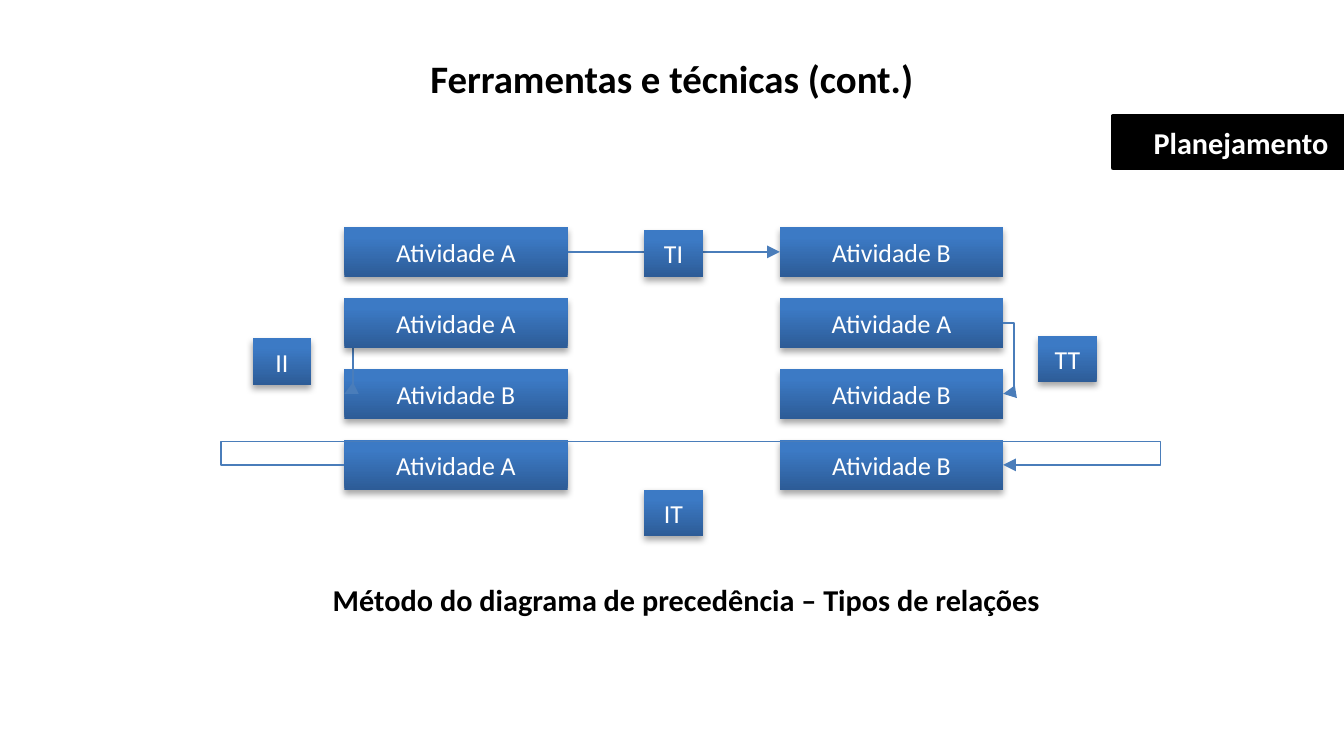
import pptx
import pptx.dml.color
import pptx.enum.shapes
import pptx.enum.text
import pptx.oxml
import pptx.oxml.ns
import pptx.util
from pptx.util import Cm

BLACK, WHITE = "000000", "FFFFFF"
LINE_BLUE, DARK_BLUE, LIGHT_BLUE = "4A7DBA", "2D5C97", "3C7AC5"
CENTER = pptx.enum.text.PP_ALIGN.CENTER
RIGHT = pptx.enum.text.PP_ALIGN.RIGHT
NAMESPACE = pptx.oxml.ns.nsdecls("a")


def color(hex_string):
    return pptx.dml.color.RGBColor.from_string(hex_string)


class PrecedenceSlide:
    font = "Calibri"

    def __init__(self, presentation):
        self.slide = presentation.slides.add_slide(presentation.slide_layouts[5])

    def set_text(self, shape, text, size, text_color, bold=False, align=CENTER,
                 anchor=pptx.enum.text.MSO_ANCHOR.MIDDLE):
        frame = shape.text_frame
        frame.word_wrap = True
        frame.auto_size = pptx.enum.text.MSO_AUTO_SIZE.NONE
        frame.vertical_anchor = anchor
        frame.text = text
        paragraph = frame.paragraphs[0]
        paragraph.alignment = align
        paragraph.font.name = self.font
        paragraph.font.size = pptx.util.Pt(size)
        paragraph.font.bold = bold
        paragraph.font.color.rgb = color(text_color)
        return paragraph

    def title(self, text, left, top, width, height):
        shape = self.slide.shapes.title
        shape.left, shape.top = Cm(left), Cm(top)
        shape.width, shape.height = Cm(width), Cm(height)
        self.set_text(shape, text, 18, BLACK, True,
                      anchor=pptx.enum.text.MSO_ANCHOR.TOP)

    def caption(self, text, left, top, width, height):
        shape = self.slide.shapes.add_textbox(
            Cm(left), Cm(top), Cm(width), Cm(height))
        paragraph = self.set_text(shape, text, 14, BLACK, True,
                                  anchor=pptx.enum.text.MSO_ANCHOR.TOP)
        paragraph._p.get_or_add_pPr().set("marL", str(Cm(0.38)))

    def rectangle(self, left, top, width, height):
        shape = self.slide.shapes.add_shape(
            pptx.enum.shapes.MSO_SHAPE.RECTANGLE,
            Cm(left), Cm(top), Cm(width), Cm(height))
        shape.shadow.inherit = False
        return shape

    def phase_tag(self, text, left, top, width, height):
        shape = self.rectangle(left, top, width, height)
        shape.fill.solid()
        shape.fill.fore_color.rgb = color(BLACK)
        shape.line.color.rgb = color(BLACK)
        shape.line.width = pptx.util.Pt(2)
        self.set_text(shape, text, 14, WHITE, True, RIGHT)

    def blue_box(self, text, left, top, width, height):
        shape = self.rectangle(left, top, width, height)
        shape.fill.gradient()
        shape.fill.gradient_angle = 90
        stops = shape.fill.gradient_stops
        for stop, position, shade in zip(stops, (0, 0.8), (DARK_BLUE, LIGHT_BLUE)):
            stop.position = position
            stop.color.rgb = color(shade)
        shape.line.fill.background()
        effects = shape._element.spPr.find(pptx.oxml.ns.qn("a:effectLst"))
        effects.append(pptx.oxml.parse_xml(
            f'<a:outerShdw {NAMESPACE} blurRad="39370" dist="22860" dir="5400000" '
            'rotWithShape="0"><a:srgbClr val="000000"><a:alpha val="35000"/>'
            '</a:srgbClr></a:outerShdw>'))
        self.set_text(shape, text, 12, WHITE)

    def style_arrow(self, shape):
        shape.line.color.rgb = color(LINE_BLUE)
        shape.line.width = pptx.util.Pt(0.75)
        properties = shape._element.spPr
        properties.find(pptx.oxml.ns.qn("a:ln")).append(
            pptx.oxml.parse_xml(f'<a:tailEnd {NAMESPACE} type="triangle"/>'))

    def arrow(self, start, end):
        connector = self.slide.shapes.add_connector(
            pptx.enum.shapes.MSO_CONNECTOR.STRAIGHT,
            *(Cm(value) for value in start + end))
        self.style_arrow(connector)
        connector._element.spPr.append(
            pptx.oxml.parse_xml(f"<a:effectLst {NAMESPACE}/>"))

    def bent_arrow(self, *points):
        start, *others = [(Cm(x), Cm(y)) for x, y in points]
        builder = self.slide.shapes.build_freeform(*start)
        builder.add_line_segments(others, close=False)
        shape = builder.convert_to_shape()
        shape.fill.background()
        shape.shadow.inherit = False
        self.style_arrow(shape)


def main():
    presentation = pptx.Presentation()
    presentation.slide_width, presentation.slide_height = Cm(21.97), Cm(11.91)
    page = PrecedenceSlide(presentation)

    # Heading and phase
    page.title("Ferramentas e técnicas (cont.)", 0, 0.76, 21.97, 1.02)
    page.phase_tag("Planejamento", 18.19, 1.9, 3.78, 0.84)

    # Activity grid
    box_width, box_height = 3.65, 0.81
    left_column, right_column = 5.63, 12.75
    tops = [3.71 + 1.16 * row for row in range(4)]
    middles = [top + box_height / 2 for top in tops]
    left_end, right_end = left_column + box_width, right_column + box_width
    columns = ((left_column, "A BA"), (right_column, "BABB"))
    for left, letters in columns:
        for top, letter in zip(tops, letters):
            if letter != " ":
                page.blue_box(f"Atividade {letter}", left, top, box_width, box_height)

    # Precedence arrows
    first, second, third, fourth = middles
    page.bent_arrow((left_column, second), (5.77, second),
                    (5.77, third), (left_column, third))
    page.bent_arrow((left_column, fourth), (3.61, fourth), (3.61, 7.21),
                    (18.97, 7.21), (18.97, fourth), (right_end, fourth))
    page.bent_arrow((right_end, second), (16.58, second),
                    (16.58, third), (right_end, third))
    page.arrow((left_end, first), (right_column, first))

    # Relation labels
    labels = (("TI", 10.53, 3.76), ("II", 4.13, 5.53),
              ("TT", 16.97, 5.49), ("IT", 10.53, 8))
    for text, left, top in labels:
        page.blue_box(text, left, top, 0.96, 0.76)

    # Activity in front of the II arrow
    page.blue_box("Atividade A", left_column, tops[1], box_width, box_height)

    page.caption("Método do diagrama de precedência – Tipos de relações",
                 4.24, 9.37, 13.59, 0.86)
    presentation.save("out.pptx")


if __name__ == "__main__":
    main()
